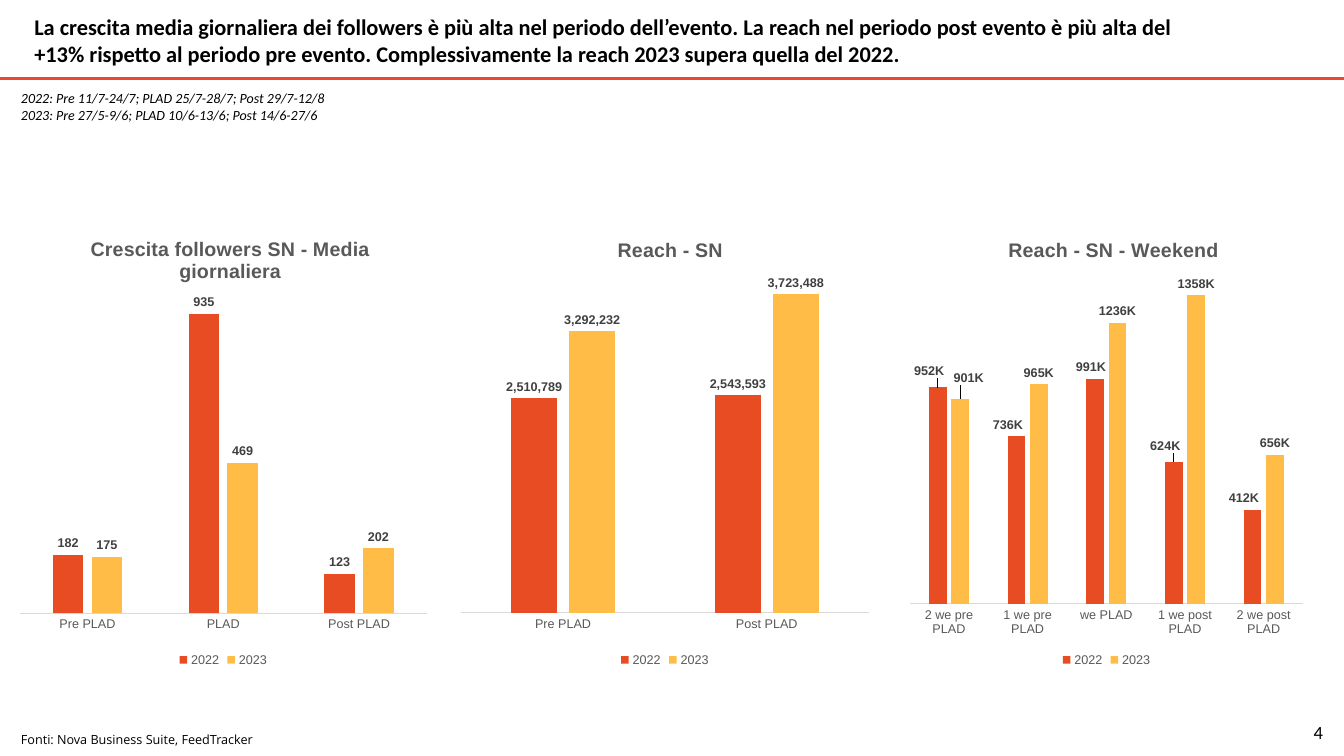
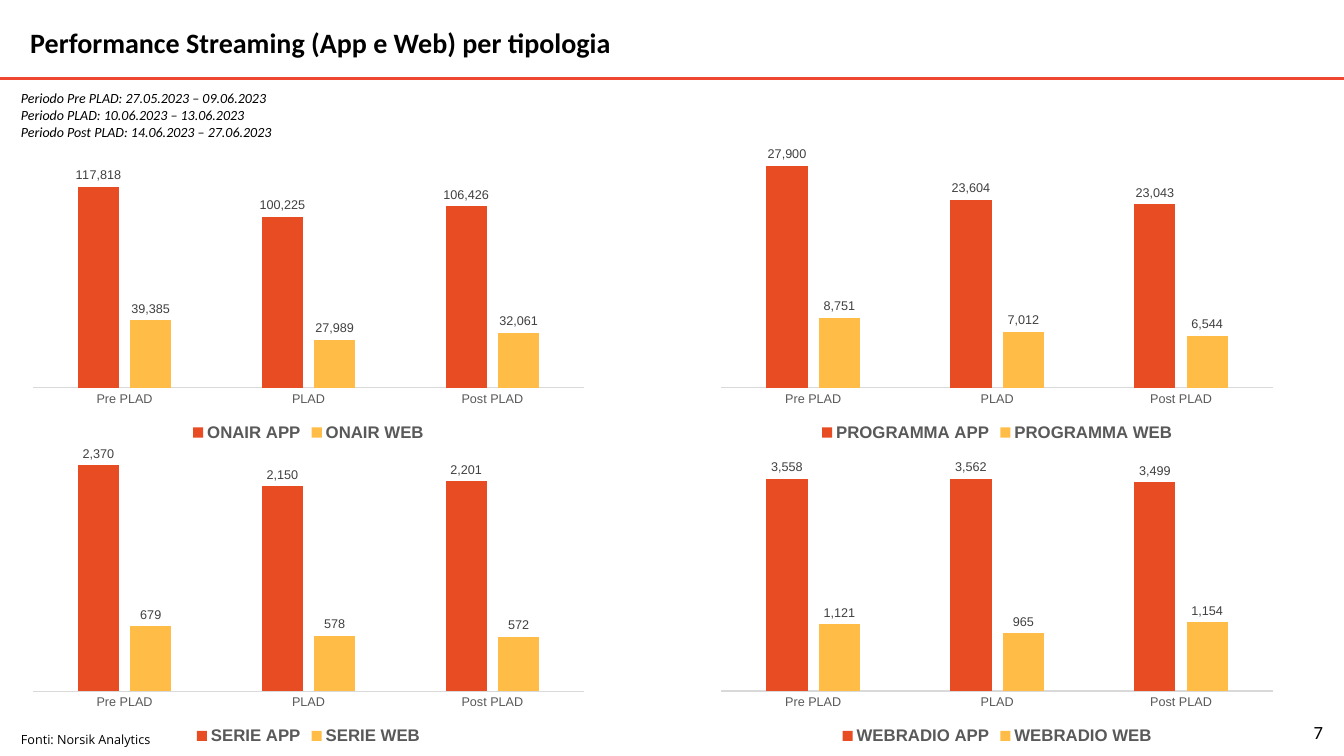
from dataclasses import dataclass, field

from lxml.etree import SubElement
from pptx import Presentation
from pptx.chart.data import CategoryChartData
from pptx.dml.color import RGBColor
from pptx.enum.chart import XL_CHART_TYPE as ChartType
from pptx.enum.chart import XL_LABEL_POSITION as LabelPos
from pptx.enum.chart import XL_LEGEND_POSITION as LegendPos
from pptx.enum.chart import XL_TICK_MARK as TickMark
from pptx.enum.shapes import MSO_CONNECTOR as Connector
from pptx.enum.text import MSO_ANCHOR as Anchor
from pptx.enum.text import MSO_AUTO_SIZE as AutoSize
from pptx.enum.text import PP_ALIGN as Align
from pptx.oxml import parse_xml
from pptx.oxml.ns import nsdecls, qn
from pptx.util import Inches, Pt

WIDTH, HEIGHT = 13.33, 7.5
COLORS = {
    "rule": "EF4632",
    "text": "000000",
    "chart_text": "595959",
    "label": "404040",
    "axis": "D9D9D9",
    "first": "E84C22",
    "second": "FFBD47",
}
THOUSANDS, KILO = "#,##0", "0,\\K"
PERIODS = ("Pre PLAD", "PLAD", "Post PLAD")
YEARS = ("2022", "2023")

Box = tuple[float, float, float, float]


@dataclass
class Heading:
    text: str
    box: Box
    size: int


@dataclass
class Bars:
    """A clustered column chart; plot and heading positions are shares of its frame."""
    names: tuple[str, str]
    values: tuple[tuple[int, ...], tuple[int, ...]]
    cats: tuple[str, ...] = PERIODS
    title: str = ""
    title_x: float = 0
    plot: Box | None = None
    top: int | None = None
    fmt: str = THOUSANDS
    # (series, point) -> label shift
    shifts: dict[tuple[int, int], tuple[float, float]] = field(default_factory=dict)


@dataclass
class Page:
    heading: Heading
    notes: tuple[str, ...]
    source: str
    number: int
    charts: list[Bars]
    columns: int
    origin: tuple[float, float]
    step: tuple[float, float]
    size: tuple[float, float]
    label_bold: bool
    legend_size: int


def rgb(name: str) -> RGBColor:
    return RGBColor.from_string(COLORS[name])


def style(font, size: float, color: str, face: str = "Arial",
          bold: bool = False, italic: bool = False) -> None:
    font.name, font.size, font.bold, font.italic = face, Pt(size), bold, italic
    font.color.rgb = rgb(color)


def add_text(s, box: Box, text: str, size: float, face: str = "Calibri",
             italic: bool = False, align=Align.LEFT) -> None:
    tf = s.shapes.add_textbox(*map(Inches, box)).text_frame
    tf.word_wrap = True
    tf.text = text
    for p in tf.paragraphs:
        p.alignment = align
        for r in p.runs:
            style(r.font, size, "text", face, italic=italic)


def add_title(s, heading: Heading) -> None:
    sp = s.shapes.title
    sp.left, sp.top, sp.width, sp.height = map(Inches, heading.box)
    tf = sp.text_frame
    tf.text = heading.text
    tf.word_wrap, tf.auto_size = True, AutoSize.NONE
    tf.vertical_anchor = Anchor.MIDDLE
    p = tf.paragraphs[0]
    p.alignment = Align.LEFT
    style(p.runs[0].font, heading.size, "text", "Calibri", bold=True)


def add_rule(s) -> None:
    y = Inches(0.78)
    line = s.shapes.add_connector(Connector.STRAIGHT, 0, y, Inches(WIDTH), y)
    line.line.color.rgb = rgb("rule")
    line.line.width = Pt(2.25)
    SubElement(line._element.spPr, qn("a:effectLst"))


def set_layout(parent, index: int, **parts: str | float) -> None:
    """Give a chart part a manual layout as its child at the index."""
    for old in parent.findall(qn("c:layout")):
        parent.remove(old)
    inner = "".join(f'<c:{tag} val="{value}"/>' for tag, value in parts.items())
    parent.insert(index, parse_xml(
        f'<c:layout {nsdecls("c")}><c:manualLayout>{inner}</c:manualLayout></c:layout>'))


def shift_label(series, point: int, shift: tuple[float, float], fmt: str) -> None:
    label = series.points[point].data_label
    style(label.font, 9, "label", bold=True)
    label.position = LabelPos.OUTSIDE_END
    element = series._element.xpath(f'.//c:dLbl[c:idx/@val="{point}"]')[0]
    set_layout(element, 1, x=shift[0], y=shift[1])
    number = parse_xml(f'<c:numFmt {nsdecls("c")} sourceLinked="0"/>')
    number.set("formatCode", fmt)
    element.insert(2, number)


def add_bars(s, box: Box, bars: Bars, label_bold: bool, legend_size: int) -> None:
    data = CategoryChartData(number_format=THOUSANDS)
    data.categories = bars.cats
    for name, values in zip(bars.names, bars.values):
        data.add_series(name, values)
    frame = s.shapes.add_chart(ChartType.COLUMN_CLUSTERED, *map(Inches, box), data)
    chart = frame.chart
    style(chart.font, 10, "text")

    # Title and plot area
    chart.has_title = bool(bars.title)
    if bars.title:
        tf = chart.chart_title.text_frame
        tf.text = bars.title
        for p in tf.paragraphs:
            style(p.runs[0].font, 14, "chart_text", bold=True)
        set_layout(chart.chart_title._element, 1, xMode="edge", yMode="edge",
                   x=bars.title_x, y=0.044)
    if bars.plot:
        x, y, w, h = bars.plot
        area = chart._chartSpace.chart.plotArea
        set_layout(area, 0, layoutTarget="inner", xMode="edge", yMode="edge",
                   x=x, y=y, w=w, h=h)

    # Legend and axes
    chart.has_legend = True
    chart.legend.position = LegendPos.BOTTOM
    chart.legend.include_in_layout = False
    style(chart.legend.font, legend_size, "chart_text", bold=legend_size > 9)
    cat_axis, val_axis = chart.category_axis, chart.value_axis
    cat_axis.major_tick_mark = cat_axis.minor_tick_mark = TickMark.NONE
    style(cat_axis.tick_labels.font, 9, "chart_text")
    cat_axis.format.line.color.rgb = rgb("axis")
    cat_axis.format.line.width = Pt(0.75)
    val_axis.visible = val_axis.has_major_gridlines = False
    val_axis.minimum_scale = 0
    if bars.top:
        val_axis.maximum_scale = bars.top

    # Columns and their labels
    plot = chart.plots[0]
    plot.gap_width, plot.overlap, plot.vary_by_categories = 219, -27, False
    for series, color in zip(plot.series, ("first", "second")):
        series.format.fill.solid()
        series.format.fill.fore_color.rgb = rgb(color)
        labels = series.data_labels
        labels.show_value = True
        labels.position = LabelPos.OUTSIDE_END
        labels.number_format, labels.number_format_is_linked = bars.fmt, False
        style(labels.font, 9, "label", bold=label_bold)
    for (index, point), shift in bars.shifts.items():
        shift_label(plot.series[index], point, shift, bars.fmt)


def add_page(prs, page: Page) -> None:
    s = prs.slides.add_slide(prs.slide_layouts[5])
    add_rule(s)
    add_title(s, page.heading)
    for i, bars in enumerate(page.charts):
        row, col = divmod(i, page.columns)
        left = page.origin[0] + col * page.step[0]
        top = page.origin[1] + row * page.step[1]
        add_bars(s, (left, top, *page.size), bars, page.label_bold, page.legend_size)
    add_text(s, (0.11, 0.84, 4.36, 0.59), "\n".join(page.notes), 10, italic=True)
    add_text(s, (0.11, 7.21, 3.13, 0.25), page.source, 9, "Open Sans")
    add_text(s, (12.04, 7.1, 1.18, 0.31), str(page.number), 13.3, align=Align.RIGHT)


def app_web(kind: str, app: tuple[int, ...], web: tuple[int, ...]) -> Bars:
    return Bars((f"{kind} APP", f"{kind} WEB"), (app, web))


SOCIAL = Page(
    Heading("La crescita media giornaliera dei followers è più alta nel periodo "
            "dell’evento. La reach nel periodo post evento è più alta del +13% rispetto "
            "al periodo pre evento. Complessivamente la reach 2023 supera quella del 2022.",
            (0.24, 0.11, 11.7, 0.57), 16),
    ("2022: Pre 11/7-24/7; PLAD 25/7-28/7; Post 29/7-12/8",
     "2023: Pre 27/5-9/6; PLAD 10/6-13/6; Post 14/6-27/6"),
    "Fonti: Nova Business Suite, FeedTracker", 4,
    [
        Bars(YEARS, ((182, 935, 123), (175, 469, 202)),
             title="Crescita followers SN - Media\ngiornaliera", title_x=0.18,
             plot=(0.02, 0.173, 0.96, 0.7), top=1000),
        Bars(YEARS, ((2510789, 2543593), (3292232, 3723488)),
             cats=("Pre PLAD", "Post PLAD"), title="Reach - SN", title_x=0.38,
             plot=(0.02, 0.125, 0.96, 0.747), top=4000000),
        Bars(YEARS, ((952000, 736000, 991000, 624000, 412000),
                     (901000, 965000, 1236000, 1358000, 656000)),
             cats=("2 we pre PLAD", "1 we pre PLAD", "we PLAD",
                   "1 we post PLAD", "2 we post PLAD"),
             title="Reach - SN - Weekend", title_x=0.26,
             plot=(0.036, 0.058, 0.927, 0.794), top=1600000, fmt=KILO,
             shifts={(0, 0): (-0.02, -0.01), (0, 1): (-0.02, 0), (0, 2): (-0.01, 0),
                     (0, 3): (-0.02, -0.01), (0, 4): (-0.02, 0), (1, 0): (0.02, -0.02)}),
    ],
    columns=3, origin=(0.11, 2.12), step=(4.38, 0), size=(4.21, 4.54),
    label_bold=True, legend_size=9)

STREAMING = Page(
    Heading("Performance Streaming (App e Web) per tipologia", (0.2, 0.19, 11.51, 0.45), 20),
    ("Periodo Pre PLAD: 27.05.2023 – 09.06.2023",
     "Periodo PLAD: 10.06.2023 – 13.06.2023",
     "Periodo Post PLAD: 14.06.2023 – 27.06.2023"),
    "Fonti: Norsik Analytics", 7,
    [
        app_web("ONAIR", (117818, 100225, 106426), (39385, 27989, 32061)),
        app_web("PROGRAMMA", (27900, 23604, 23043), (8751, 7012, 6544)),
        app_web("SERIE", (2370, 2150, 2201), (679, 578, 572)),
        app_web("WEBRADIO", (3558, 3562, 3499), (1121, 965, 1154)),
    ],
    columns=2, origin=(0.21, 1.42), step=(6.83, 3.01), size=(5.7, 3),
    label_bold=False, legend_size=12)


def main() -> None:
    prs = Presentation()
    prs.slide_width, prs.slide_height = Inches(WIDTH), Inches(HEIGHT)
    for page in (SOCIAL, STREAMING):
        add_page(prs, page)
    prs.save("out.pptx")


if __name__ == "__main__":
    main()
